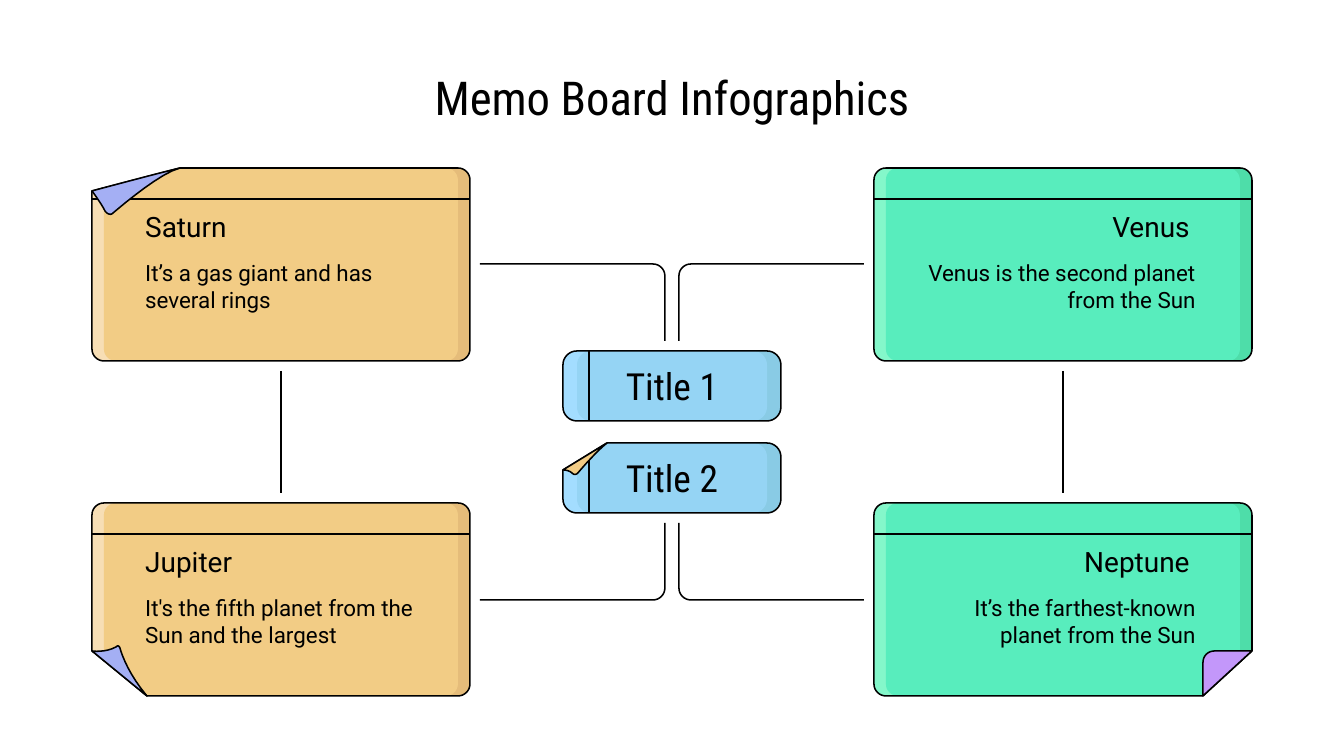
from dataclasses import dataclass
from typing import Optional

from lxml import etree
from pptx import Presentation
from pptx import util as u
from pptx.dml import color
from pptx.enum import shapes, text
from pptx.oxml import ns

Point = tuple[float, float]


@dataclass(frozen=True)
class Theme:
    ink: str = "000000"
    body_font: str = "Roboto"
    title_font: str = "Roboto Condensed"
    heading: float = 25
    label: float = 20
    name: float = 15
    body: float = 12
    line: float = 0.81


@dataclass(frozen=True)
class Palette:
    light: str
    face: str
    dark: str


@dataclass(frozen=True)
class Fold:
    corner: int
    dx: int
    dy: int
    fill: str
    start: Point
    curves: list[tuple[Point, Point, Point]]


@dataclass(frozen=True)
class Card:
    x: int
    y: int
    w: int
    h: int
    r: int
    colors: Palette
    title: str
    body: str = ""
    fold: Optional[Fold] = None


THEME = Theme()
ORANGE = Palette("F7DEB5", "F2CC85", "E5BC7A")
GREEN = Palette("84F7CA", "58EDBD", "4EDDA9")
BLUE = Palette("A3DDFF", "95D4F4", "89CBE5")
ALIGN = text.PP_ALIGN
BAR, STRIPE = 31, 26
LEFT, RIGHT, TOP, BOTTOM = 92, 874, 168, 503
NOTE_W, NOTE_H = 378, 193

SATURN_FOLD = Fold(0, 88, 23, "A4AFF4", (88, 0), [
    ((60, 7), (30, 15), (0, 23)), ((0, 23), (9, 35), (13, 43)),
    ((15, 46), (18, 47), (20, 46)), ((34, 34), (69, 5), (88, 0))])
JUPITER_FOLD = Fold(3, 55, 45, "A4AFF4", (0, 148), [
    ((0, 148), (13, 150), (24, 144)), ((26, 142), (27, 143), (28, 145)),
    ((30, 153), (38, 173), (55, 193))])
NEPTUNE_FOLD = Fold(2, 49, 45, "C397FA", (378, 148), [
    ((366, 148), (353, 148), (341, 148)), ((334, 148), (329, 153), (329, 160)),
    ((329, 171), (329, 182), (329, 193))])
TITLE_FOLD = Fold(0, 44, 27, "F2CC85", (44, 0), [
    ((34, 8), (20, 24), (15, 30)), ((13, 32), (11, 32), (9, 30)),
    ((7, 28), (3, 27), (0, 27))])

NOTES = [
    Card(LEFT, TOP, NOTE_W, NOTE_H, 12, ORANGE, "Saturn",
         "It’s a gas giant and has several rings", SATURN_FOLD),
    Card(LEFT, BOTTOM, NOTE_W, NOTE_H, 12, ORANGE, "Jupiter",
         "It's the fifth planet from the Sun and the largest", JUPITER_FOLD),
    Card(RIGHT, TOP, NOTE_W, NOTE_H, 12, GREEN, "Venus",
         "Venus is the second planet from the Sun"),
    Card(RIGHT, BOTTOM, NOTE_W, NOTE_H, 12, GREEN, "Neptune",
         "It’s the farthest-known planet from the Sun", NEPTUNE_FOLD),
]
LABELS = [
    Card(563, 351, 218, 70, 14, BLUE, "Title 1"),
    Card(563, 443, 218, 70, 14, BLUE, "Title 2", fold=TITLE_FOLD),
]


def px(n: float) -> u.Emu:
    return u.Emu(round(n * 914400 / 134.4))


def rgb(value: str) -> color.RGBColor:
    return color.RGBColor.from_string(value)


def bezier(a: Point, b: Point, c: Point, d: Point, steps: int = 8) -> list[Point]:
    ts = [i / steps for i in range(steps + 1)]
    return [tuple((1 - t) ** 3 * a[k] + 3 * t * (1 - t) ** 2 * b[k]
                  + 3 * t * t * (1 - t) * c[k] + t ** 3 * d[k] for k in (0, 1))
            for t in ts]


def bend(a: Point, corner: Point, b: Point) -> list[Point]:
    near = [tuple(p[k] + 0.55 * (corner[k] - p[k]) for k in (0, 1)) for p in (a, b)]
    return bezier(a, near[0], near[1], b)


def outline(x: float, y: float, w: float, h: float, r: float,
            cut: Optional[tuple[int, float, float]] = None) -> list[Point]:
    pts: list[Point] = []
    corners = [(x, y, 1, 1), (x + w, y, -1, 1), (x + w, y + h, -1, -1), (x, y + h, 1, -1)]
    for i, (cx, cy, sx, sy) in enumerate(corners):
        is_cut = cut is not None and cut[0] == i
        dx, dy = cut[1:] if is_cut else (r, r)
        ends = [(cx, cy + sy * dy), (cx + sx * dx, cy)]
        if i % 2:
            ends.reverse()
        pts += ends if is_cut else bend(ends[0], (cx, cy), ends[1])
    return pts


def draw_path(s, pts: list[Point], fill: str = "", line: bool = False,
              close: bool = True) -> None:
    pts = [(px(x), px(y)) for x, y in pts]
    fb = s.shapes.build_freeform(*pts[0], scale=1.0)
    fb.add_line_segments(pts[1:], close=close)
    sp = fb.convert_to_shape()
    sp.shadow.inherit = False
    if fill:
        sp.fill.solid()
        sp.fill.fore_color.rgb = rgb(fill)
    else:
        sp.fill.background()
    if line:
        sp.line.color.rgb = rgb(THEME.ink)
        sp.line.width = u.Pt(THEME.line)
    else:
        sp.line.fill.background()


def draw_line(s, x1: float, y1: float, x2: float, y2: float) -> None:
    cn = s.shapes.add_connector(shapes.MSO_CONNECTOR.STRAIGHT, px(x1), px(y1), px(x2), px(y2))
    cn.line.color.rgb = rgb(THEME.ink)
    cn.line.width = u.Pt(THEME.line)
    etree.SubElement(cn._element.spPr, ns.qn("a:effectLst"))


def format_text(sp, value: str, size: float, font: str, align) -> None:
    tf = sp.text_frame
    tf.text = value
    tf.word_wrap = True
    tf.auto_size = text.MSO_AUTO_SIZE.NONE
    tf.vertical_anchor = text.MSO_ANCHOR.MIDDLE
    tf.margin_left = tf.margin_right = tf.margin_top = tf.margin_bottom = u.Inches(0.1)
    p = tf.paragraphs[0]
    p.alignment = align
    r = p.runs[0]
    r.font.size = u.Pt(size)
    r.font.name = font
    r.font.color.rgb = rgb(THEME.ink)


def draw_text(s, x: int, y: int, w: int, h: int, value: str, size: float,
              font: str, align) -> None:
    sp = s.shapes.add_textbox(px(x), px(y), px(w), px(h))
    format_text(sp, value, size, font, align)


def draw_card(s, c: Card) -> None:
    f = c.fold
    cut = inner_cut = None
    if f:
        cut = (f.corner, f.dx, f.dy)
        inner_cut = (f.corner, f.dx - c.r, f.dy * (f.dx - c.r) / f.dx)
    edge = outline(c.x, c.y, c.w, c.h, c.r, cut)
    draw_path(s, edge, c.colors.dark)
    draw_path(s, outline(c.x, c.y, c.w / 2, c.h, c.r, cut), c.colors.light)
    draw_path(s, outline(c.x + c.r, c.y, c.w - 2 * c.r, c.h, c.r, inner_cut), c.colors.face)
    draw_path(s, edge, line=True)
    if c.body:
        draw_line(s, c.x, c.y + BAR, c.x + c.w, c.y + BAR)
    else:
        top = f.dy * (1 - STRIPE / f.dx) if f else 0
        draw_line(s, c.x + STRIPE, c.y + top, c.x + STRIPE, c.y + c.h)
    if f:
        pts = [f.start]
        for curve in f.curves:
            pts += bezier(pts[-1], *curve)[1:]
        draw_path(s, [(c.x + x, c.y + y) for x, y in pts], f.fill, line=True)


def draw_note_text(s, c: Card) -> None:
    x, align = (132, ALIGN.LEFT) if c.x == LEFT else (911, ALIGN.RIGHT)
    draw_text(s, x, c.y + 39, 292, 39, c.title, THEME.name, THEME.body_font, align)
    draw_text(s, x, c.y + 83, 298, 70, c.body, THEME.body, THEME.body_font, align)


def draw_links(s) -> None:
    for x, end, side in ((665, 480, -1), (679, 864, 1)):
        for y, turn, down in ((341, 264, -1), (523, 600, 1)):
            curve = bend((x, turn - 12 * down), (x, turn), (x + 12 * side, turn))
            draw_path(s, [(x, y), *curve, (end, turn)], line=True, close=False)
    for x in (LEFT, RIGHT):
        mid = x + NOTE_W // 2
        draw_line(s, mid, TOP + NOTE_H + 10, mid, BOTTOM - 10)


def main() -> None:
    prs = Presentation()
    prs.slide_width, prs.slide_height = px(1344), px(756)
    s = prs.slides.add_slide(prs.slide_layouts[5])
    title = s.shapes.title
    title.left, title.top, title.width, title.height = px(104), px(67), px(1136), px(59)
    format_text(title, "Memo Board Infographics", THEME.heading, THEME.title_font, ALIGN.CENTER)
    for c in LABELS + NOTES:
        draw_card(s, c)
    draw_links(s)
    for c in NOTES:
        draw_note_text(s, c)
    for c in LABELS:
        draw_text(s, c.x, c.y + 5, c.w, 59, c.title, THEME.label, THEME.title_font, ALIGN.CENTER)
    prs.save("out.pptx")


if __name__ == "__main__":
    main()
